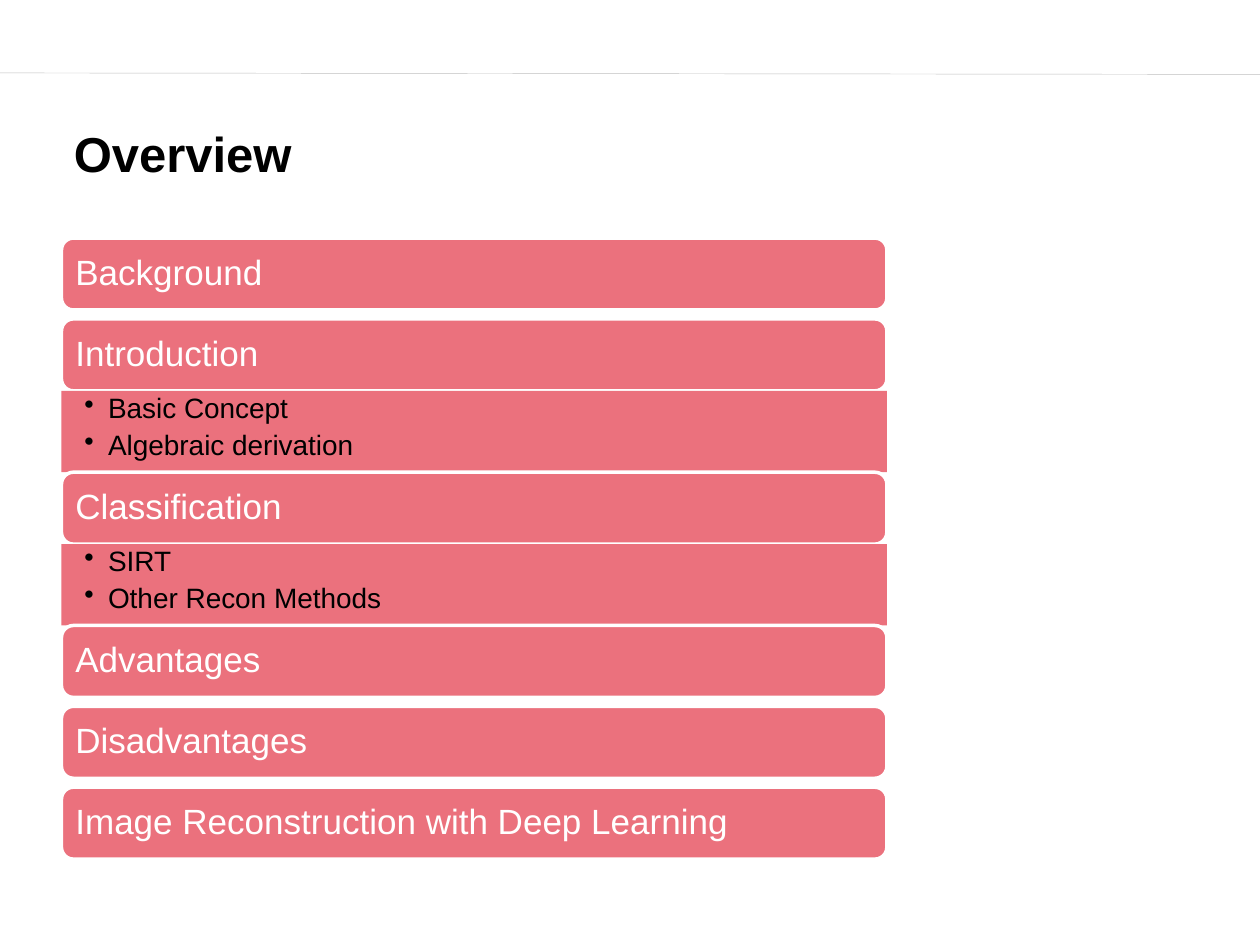
from lxml import etree
from pptx import Presentation
from pptx.dml.color import RGBColor
from pptx.enum.shapes import MSO_CONNECTOR as Connector, MSO_SHAPE as Preset
from pptx.enum.text import MSO_ANCHOR as Anchor, PP_ALIGN as Align
from pptx.oxml.ns import qn
from pptx.util import Cm, Pt

COLORS = {"red": "E33244", "white": "FFFFFF", "black": "000000", "rule": "BFBFBF"}
FONT = "Arial"

SECTIONS = [
    ("Background", []),
    ("Introduction", ["Basic Concept", "Algebraic derivation"]),
    ("Classification", ["SIRT", "Other Recon Methods"]),
    ("Advantages", []),
    ("Disadvantages", []),
    ("Image Reconstruction with Deep Learning", []),
]
BAR_HEIGHT, LIST_HEIGHT, GAP = 1.45, 1.64, 0.18  # centimetres


def rgb(name):
    return RGBColor.from_string(COLORS[name])


def set_font(paragraph, size, color, bold=False):
    for run in paragraph.runs:
        font = run.font
        font.name, font.size, font.bold = FONT, Pt(size), bold
        font.color.rgb = rgb(color)


def set_frame(shape, anchor, left, top, right, bottom):
    frame = shape.text_frame
    frame.word_wrap = True
    frame.vertical_anchor = anchor
    frame.margin_left, frame.margin_top = Cm(left), Cm(top)
    frame.margin_right, frame.margin_bottom = Cm(right), Cm(bottom)
    return frame


def add_panel(slide, preset, left, top, width, height):
    """Add a translucent red panel without outline."""
    shape = slide.shapes.add_shape(preset, Cm(left), Cm(top), Cm(width), Cm(height))
    shape.shadow.inherit = False
    shape.fill.solid()
    shape.fill.fore_color.rgb = rgb("red")
    color = shape.fill._xPr.find(qn("a:solidFill"))[0]
    etree.SubElement(color, qn("a:alpha"), val="69000")
    shape.line.fill.background()
    return shape


def add_bullet(paragraph, indent):
    properties = paragraph._p.get_or_add_pPr()
    properties.set("marL", str(Cm(indent)))
    properties.set("indent", str(-Cm(indent)))
    etree.SubElement(properties, qn("a:buChar"), char="•")


def add_header_rule(slide, width, top, bottom):
    rule = slide.shapes.add_connector(
        Connector.STRAIGHT, Cm(0), Cm(top), Cm(width), Cm(bottom))
    rule.line.color.rgb = rgb("rule")
    rule.line.width = Pt(0.25)
    etree.SubElement(rule._element.spPr, qn("a:effectLst"))


def add_title(slide, text, left, top, width, height):
    box = slide.shapes.add_textbox(Cm(left), Cm(top), Cm(width), Cm(height))
    frame = set_frame(box, Anchor.BOTTOM, 0.25, 0.13, 0.25, 0.13)
    frame.text = text
    set_font(frame.paragraphs[0], 28, "black", bold=True)


def add_heading_bar(slide, text, left, top, width):
    bar = add_panel(slide, Preset.ROUNDED_RECTANGLE, left, top, width, BAR_HEIGHT)
    bar.line.color.rgb = rgb("white")
    bar.line.width = Pt(2)
    frame = set_frame(bar, Anchor.MIDDLE, 0.21, 0.21, 0.21, 0.21)
    frame.text = text
    paragraph = frame.paragraphs[0]
    paragraph.alignment = Align.LEFT
    paragraph.line_spacing = 0.9
    set_font(paragraph, 20, "white")


def add_topic_list(slide, topics, left, top, width):
    panel = add_panel(slide, Preset.RECTANGLE, left, top, width, LIST_HEIGHT)
    frame = set_frame(panel, Anchor.TOP, 0.46, 0.07, 0.41, 0.07)
    frame.text = "\n".join(topics)
    for paragraph in frame.paragraphs:
        paragraph.level = 1
        paragraph.alignment = Align.LEFT
        paragraph.line_spacing = 0.9
        paragraph.space_after = Pt(4)
        add_bullet(paragraph, 0.48)
        set_font(paragraph, 16, "black")


def add_outline(slide, sections, left, top, width):
    """Stack the bars; a topic list takes the place of the gap below its bar."""
    for heading, topics in sections:
        add_heading_bar(slide, heading, left, top, width)
        top += BAR_HEIGHT
        if topics:
            add_topic_list(slide, topics, left, top, width)
        top += LIST_HEIGHT if topics else GAP


def main():
    presentation = Presentation()
    presentation.slide_width, presentation.slide_height = Cm(25.4), Cm(19.05)
    slide = presentation.slides.add_slide(presentation.slide_layouts[6])
    add_header_rule(slide, 25.4, 1.47, 1.5)
    add_title(slide, "Overview", 1.24, 2.16, 8.36, 1.65)
    add_outline(slide, SECTIONS, left=1.24, top=4.8, width=16.64)
    presentation.save("out.pptx")


if __name__ == "__main__":
    main()
